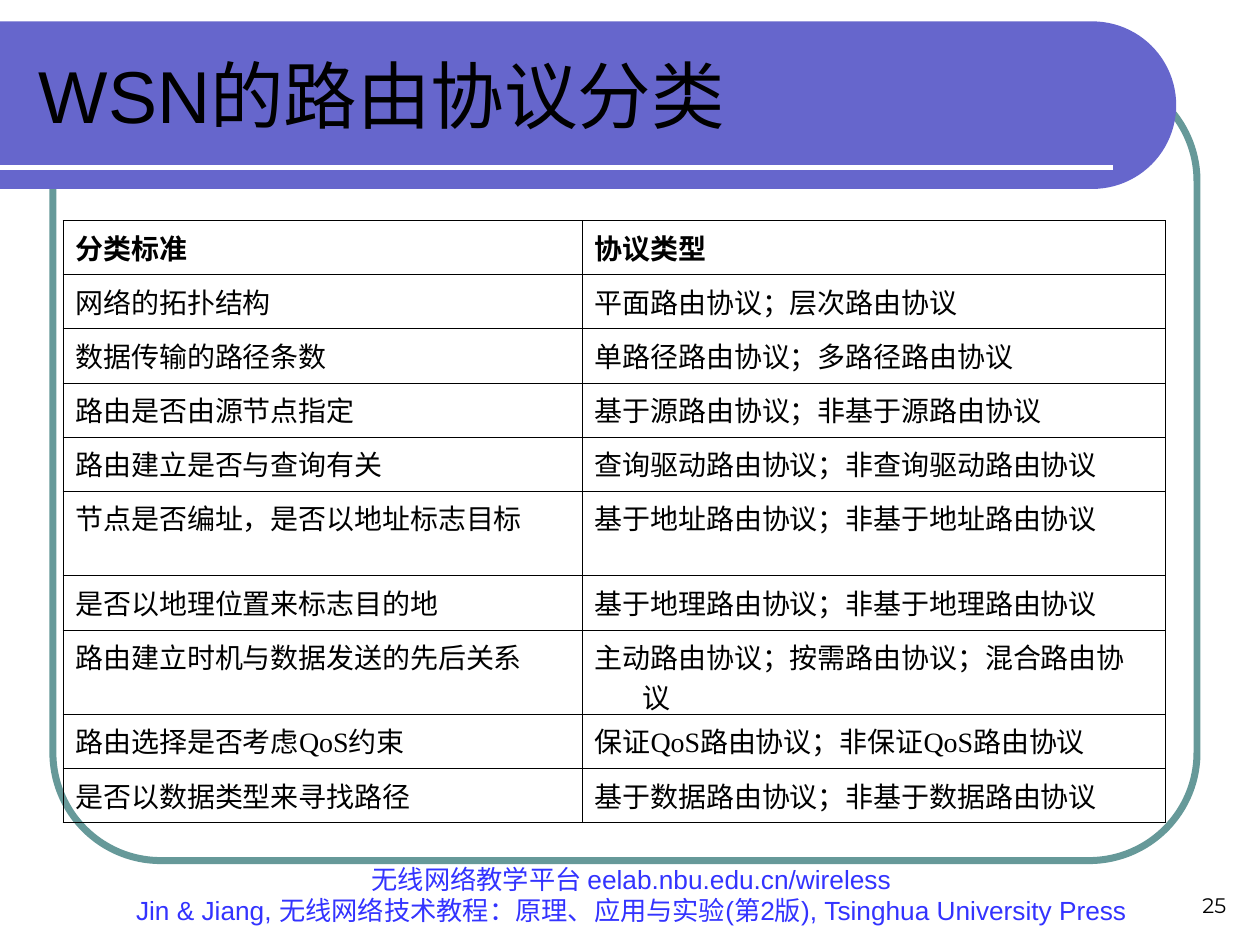
import math
from lxml import etree
from pptx import Presentation
from pptx.dml.color import RGBColor
from pptx.enum import shapes, text
from pptx.oxml.ns import qn
from pptx.util import Inches, Pt

BLACK = RGBColor(0, 0, 0)
WHITE = RGBColor(255, 255, 255)
TEAL = RGBColor(0x66, 0x99, 0x99)
PURPLE = RGBColor(0x66, 0x66, 0xCC)
BLUE = RGBColor(0x33, 0x33, 0xFF)
LEFT, MID, RIGHT = text.PP_ALIGN.LEFT, text.PP_ALIGN.CENTER, text.PP_ALIGN.RIGHT


def write(frame, words, size=16, font="Arial", color=BLACK, bold=False,
          align=LEFT, anchor=text.MSO_ANCHOR.TOP, hang=0):
    frame.word_wrap = True
    frame.vertical_anchor = anchor
    for i, line in enumerate(words.split("\n")):
        para = frame.paragraphs[0] if i == 0 else frame.add_paragraph()
        para.alignment = align
        if hang:
            props = para._p.get_or_add_pPr()
            props.set("marL", str(Inches(hang)))
            props.set("indent", str(-Inches(hang)))
        run = para.add_run()
        run.text = line
        run.font.size, run.font.name = Pt(size), font
        run.font.bold, run.font.color.rgb = bold, color


def border(cell):
    props = cell._tc.get_or_add_tcPr()
    for i, side in enumerate(("lnL", "lnR", "lnT", "lnB")):
        line = etree.Element(qn("a:" + side), w=str(Pt(0.45)))
        fill = etree.SubElement(line, qn("a:solidFill"))
        etree.SubElement(fill, qn("a:srgbClr"), val=str(BLACK))
        props.insert(i, line)


deck = Presentation()
deck.slide_width, deck.slide_height = Inches(10), Inches(7.5)
slide = deck.slides.add_slide(deck.slide_layouts[6])
items = slide.shapes

# Rounded frame
frame = items.add_shape(shapes.MSO_SHAPE.ROUNDED_RECTANGLE,
                        Inches(0.42), Inches(0.58), Inches(9.08), Inches(6.25))
frame.adjustments[0] = 0.137
frame.shadow.inherit = False
frame.fill.background()
frame.line.color.rgb, frame.line.width = TEAL, Pt(4)

# Title band with a half-round right end
top, low, bend = 0.17, 1.5, 8.67
rad = (low - top) / 2
arc = []
for step in range(49):
    turn = math.pi * (step / 48 - 0.5)
    arc.append((Inches(bend + rad * math.cos(turn)),
                Inches(top + rad + rad * math.sin(turn))))
path = items.build_freeform(0, Inches(top))
path.add_line_segments(arc + [(0, Inches(low))], close=True)
band = path.convert_to_shape()
band.shadow.inherit = False
band.fill.solid()
band.fill.fore_color.rgb = PURPLE
band.line.fill.background()

# White rule in the band
rule = items.add_connector(shapes.MSO_CONNECTOR.STRAIGHT,
                           0, Inches(1.33), Inches(8.83), Inches(1.33))
rule.line.color.rgb, rule.line.width = WHITE, Pt(3)
etree.SubElement(rule._element.spPr, qn("a:effectLst"))

# Title, footer and page number
FOOT = ("无线网络教学平台 eelab.nbu.edu.cn/wireless\n"
        "Jin & Jiang, 无线网络技术教程：原理、应用与实验(第2版), Tsinghua University Press")
END = text.MSO_ANCHOR.BOTTOM
for area, words, style in (
    ((0.77, 6.98, 8.48, 0.42), FOOT,
     dict(size=15, color=BLUE, align=MID, anchor=END)),
    ((7.5, 6.83, 2.33, 0.5), "25",
     dict(size=12, font="Montserrat", align=RIGHT, anchor=END)),
    ((0.21, 0.25, 8.77, 1), "WSN的路由协议分类",
     dict(size=42, anchor=text.MSO_ANCHOR.MIDDLE)),
):
    box = items.add_textbox(*map(Inches, area))
    write(box.text_frame, words, **style)

# Protocol table
ROWS = (
    ("分类标准", "协议类型"),
    ("网络的拓扑结构", "平面路由协议；层次路由协议"),
    ("数据传输的路径条数", "单路径路由协议；多路径路由协议"),
    ("路由是否由源节点指定", "基于源路由协议；非基于源路由协议"),
    ("路由建立是否与查询有关", "查询驱动路由协议；非查询驱动路由协议"),
    ("节点是否编址，是否以地址标志目标", "基于地址路由协议；非基于地址路由协议"),
    ("是否以地理位置来标志目的地", "基于地理路由协议；非基于地理路由协议"),
    ("路由建立时机与数据发送的先后关系", "主动路由协议；按需路由协议；混合路由协议"),
    ("路由选择是否考虑QoS约束", "保证QoS路由协议；非保证QoS路由协议"),
    ("是否以数据类型来寻找路径", "基于数据路由协议；非基于数据路由协议"),
)
TALL = (5, 7)
table = items.add_table(len(ROWS), 2, Inches(0.5), Inches(1.75),
                        Inches(8.75), Inches(4.78)).table
table.horz_banding = False
for col, wide in zip(table.columns, (4.12, 4.63)):
    col.width = Inches(wide)
for r, row in enumerate(ROWS):
    table.rows[r].height = Inches(0.67 if r in TALL else 0.43)
    for c, words in enumerate(row):
        cell = table.cell(r, c)
        cell.margin_left = cell.margin_right = Inches(0.1)
        cell.margin_top = cell.margin_bottom = Inches(0.05)
        cell.fill.background()
        border(cell)
        write(cell.text_frame, words, font="Times New Roman",
              bold=r == 0, hang=0.38)

deck.save("out.pptx")
